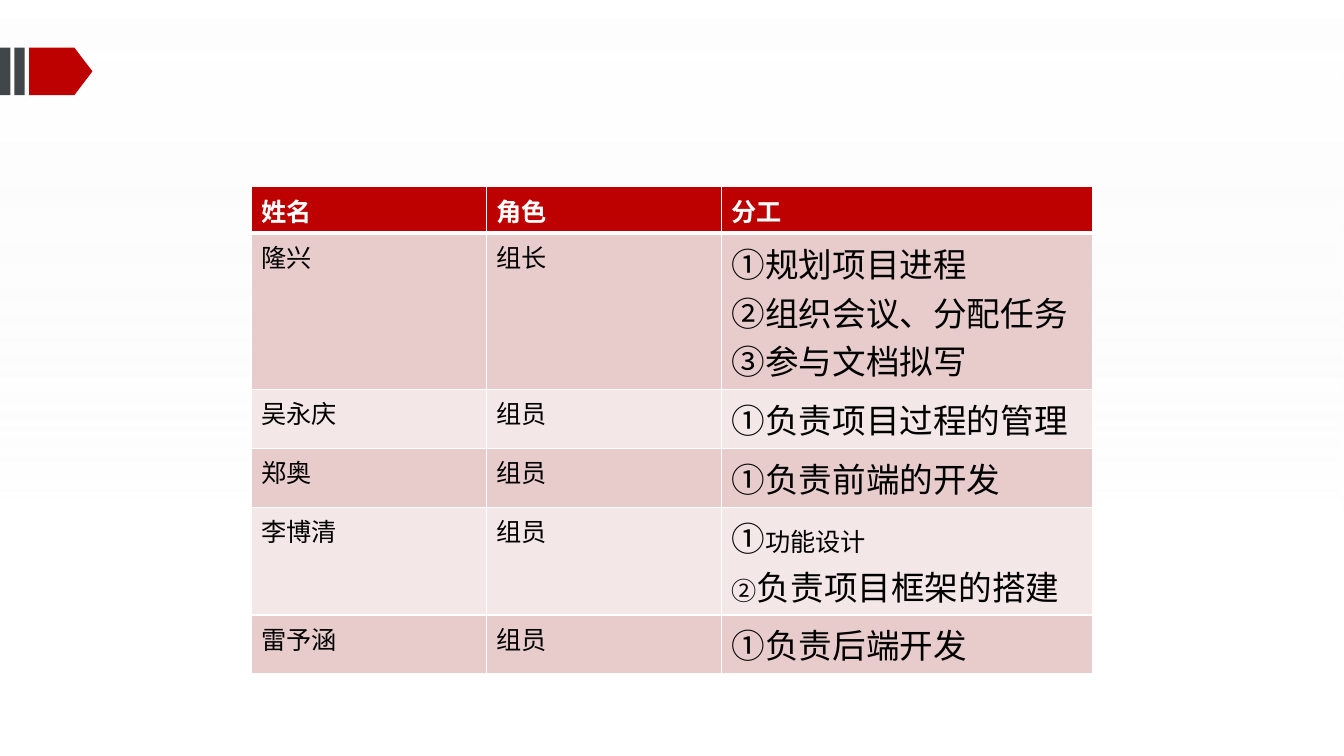
import dataclasses

import lxml.etree
import pptx
import pptx.dml.color
import pptx.enum.shapes
import pptx.oxml.ns
import pptx.presentation
import pptx.shapes.autoshape
import pptx.slide
import pptx.table
import pptx.util

Pt = pptx.util.Pt
Shapes = pptx.enum.shapes.MSO_SHAPE

COLOURS = {
    "white": "FFFFFF",
    "haze": "F2F2F2",
    "red": "BD0000",
    "slate": "40464A",
    "black": "000000",
    "odd row": "E8CCCC",
    "even row": "F4E7E7",
}
SMALL, LARGE = 18, 24
Line = list[tuple[str, int]]


@dataclasses.dataclass(frozen=True)
class Block:
    preset: Shapes
    left: float
    top: float
    width: float
    height: float
    colour: str


@dataclasses.dataclass(frozen=True)
class Member:
    name: str
    role: str
    duties: list[Line]
    height: float


MARKER = [
    Block(Shapes.PENTAGON, 20.8, 34, 45.2, 34, "red"),
    Block(Shapes.RECTANGLE, 10.3, 34, 7.4, 34, "slate"),
    Block(Shapes.RECTANGLE, 0, 34, 7.4, 34, "slate"),
]
HEADINGS = ["姓名", "角色", "分工"]
COLUMN_WIDTHS = [167.9, 167.9, 264.7]
HEADER_HEIGHT = 33.2
TEAM = [
    Member("隆兴", "组长", [[("①规划项目进程", LARGE)],
                        [("②组织会议、分配任务", LARGE)],
                        [("③参与文档拟写", LARGE)]], 111.4),
    Member("吴永庆", "组员", [[("①负责项目过程的管理", LARGE)]], 42),
    Member("郑奥", "组员", [[("①负责前端的开发", LARGE)]], 42),
    Member("李博清", "组员", [[("①", LARGE), ("功能设计", SMALL)],
                         [("②", SMALL), ("负责项目框架的搭建", LARGE)]], 76.6),
    Member("雷予涵", "组员", [[("①负责后端开发", LARGE)]], 42),
]


def rgb(colour: str) -> pptx.dml.color.RGBColor:
    return pptx.dml.color.RGBColor.from_string(COLOURS[colour])


def add_block(slide: pptx.slide.Slide, block: Block) -> pptx.shapes.autoshape.Shape:
    shape = slide.shapes.add_shape(
        block.preset, Pt(block.left), Pt(block.top), Pt(block.width), Pt(block.height))
    shape.shadow.inherit = False
    shape.line.fill.background()
    shape.fill.solid()
    shape.fill.fore_color.rgb = rgb(block.colour)
    return shape


def add_backdrop(slide: pptx.slide.Slide) -> None:
    backdrop = add_block(slide, Block(Shapes.RECTANGLE, 0, 0, 960, 540, "white"))
    backdrop.fill.gradient()
    backdrop.fill.gradient_angle = 270
    for stop, (position, colour) in zip(
            backdrop.fill.gradient_stops, [(0, "white"), (0.71, "haze")]):
        stop.position = position
        stop.color.rgb = rgb(colour)
    # Opacity of each gradient stop
    tints = backdrop._element.spPr.iter(pptx.oxml.ns.qn("a:srgbClr"))
    for tint, opacity in zip(tints, (55000, 0)):
        lxml.etree.SubElement(tint, pptx.oxml.ns.qn("a:alpha"), val=str(opacity))


def add_borders(cell: pptx.table._Cell, bottom: int, top: int) -> None:
    properties = cell._tc.get_or_add_tcPr()
    for side, weight in {"lnL": 1, "lnR": 1, "lnT": top, "lnB": bottom}.items():
        border = lxml.etree.SubElement(
            properties, pptx.oxml.ns.qn(f"a:{side}"), w=str(int(Pt(weight))))
        fill = lxml.etree.SubElement(border, pptx.oxml.ns.qn("a:solidFill"))
        lxml.etree.SubElement(
            fill, pptx.oxml.ns.qn("a:srgbClr"), val=COLOURS["white"])


def fill_cell(cell: pptx.table._Cell, lines: list[Line], colour: str,
              is_heading: bool, below_heading: bool) -> None:
    add_borders(cell, bottom=3 if is_heading else 1, top=3 if below_heading else 1)
    cell.fill.solid()
    cell.fill.fore_color.rgb = rgb(colour)
    for number, line in enumerate(lines):
        frame = cell.text_frame
        paragraph = frame.add_paragraph() if number else frame.paragraphs[0]
        for text, size in line:
            run = paragraph.add_run()
            run.text = text
            font_format = {"name": "Calibri", "size": Pt(size), "bold": is_heading}
            for attribute, value in font_format.items():
                setattr(run.font, attribute, value)
            run.font.color.rgb = rgb("white" if is_heading else "black")


def add_team_table(slide: pptx.slide.Slide) -> None:
    heights = [HEADER_HEIGHT] + [member.height for member in TEAM]
    team = slide.shapes.add_table(
        len(heights), len(HEADINGS), Pt(179.6), Pt(133.4),
        Pt(sum(COLUMN_WIDTHS)), Pt(sum(heights))).table
    for column, width in zip(team.columns, COLUMN_WIDTHS):
        column.width = Pt(width)
    for row, height in zip(team.rows, heights):
        row.height = Pt(height)

    contents = [[[[(heading, SMALL)]] for heading in HEADINGS]]
    contents += [[[[(member.name, SMALL)]], [[(member.role, SMALL)]], member.duties]
                 for member in TEAM]
    for r, row_contents in enumerate(contents):
        colour = "red" if r == 0 else "odd row" if r % 2 else "even row"
        for c, lines in enumerate(row_contents):
            fill_cell(team.cell(r, c), lines, colour, r == 0, r == 1)


def main() -> None:
    deck = pptx.Presentation()
    deck.slide_width, deck.slide_height = Pt(960), Pt(540)
    slide = deck.slides.add_slide(deck.slide_layouts[6])

    # Backdrop and title marker
    add_backdrop(slide)
    pentagon, *_ = [add_block(slide, block) for block in MARKER]
    pentagon.adjustments[0] = 0.38

    # Team members and their duties
    add_team_table(slide)
    deck.save("out.pptx")


if __name__ == "__main__":
    main()
